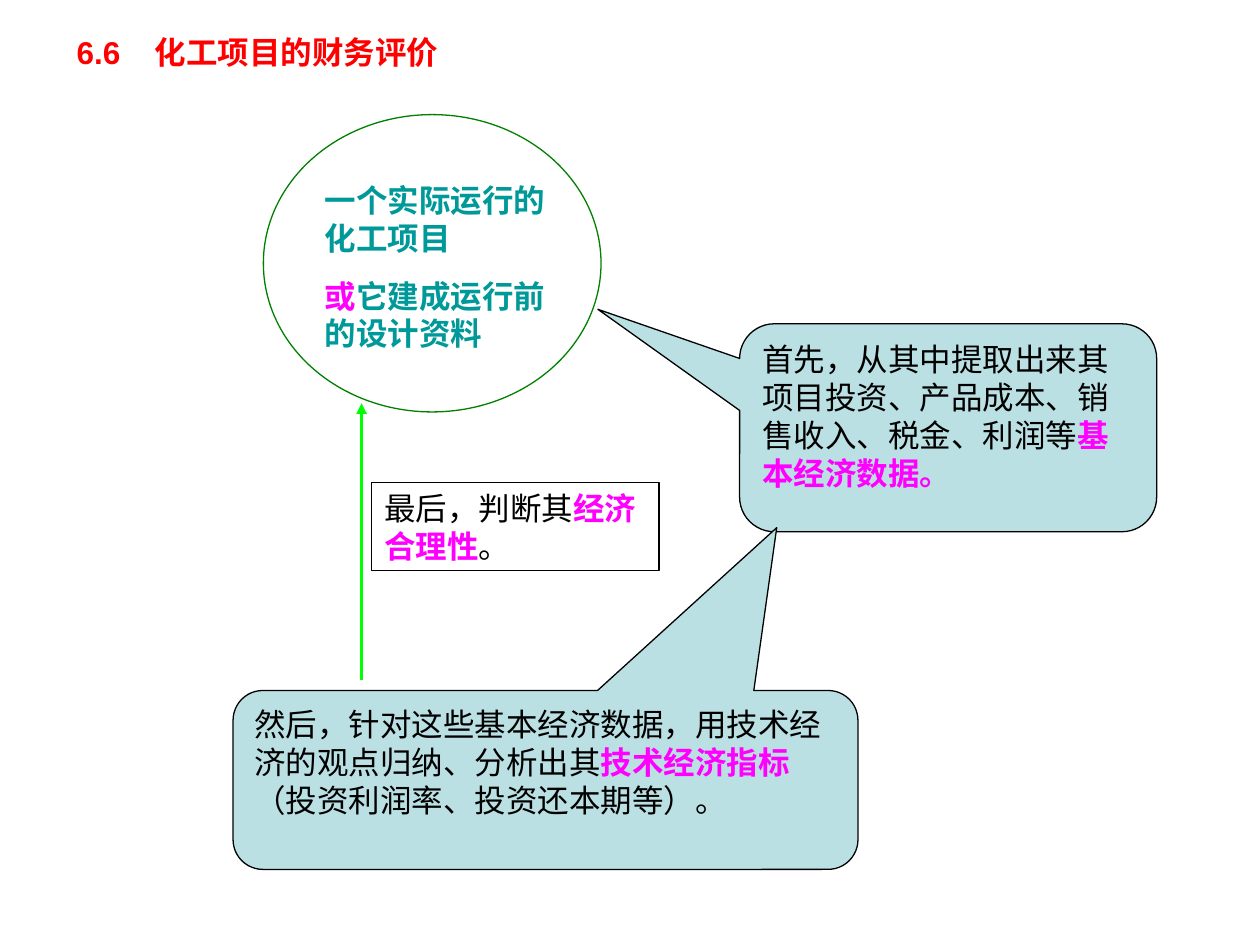
from lxml.etree import SubElement
from pptx import Presentation
from pptx.dml.color import RGBColor
from pptx.enum.shapes import MSO_CONNECTOR as LINK, MSO_SHAPE as SHAPE
from pptx.enum.text import MSO_ANCHOR as ANCHOR, PP_ALIGN as ALIGN
from pptx.oxml.ns import qn
from pptx.util import Inches, Pt

RED = RGBColor(0xFF, 0, 0)
GREEN = RGBColor(0, 0x80, 0)
LIME = RGBColor(0, 0xFF, 0)
TEAL = RGBColor(0, 0x99, 0x99)
PINK = RGBColor(0xFF, 0, 0xFF)
BLACK = RGBColor(0, 0, 0)
PALE = RGBColor(0xBB, 0xE0, 0xE3)


class Page:
    font = "Arial"
    size = Pt(18)
    gap = Pt(11.2)
    thin = Pt(0.75)

    def __init__(self, slide):
        self.slide = slide

    def label(self, shape, paras, tab=None):
        """Fill a shape with paragraphs, each a list of (text, colour, bold)."""
        frame = shape.text_frame
        frame.word_wrap = True
        frame.vertical_anchor = ANCHOR.TOP
        for i, runs in enumerate(paras):
            para = frame.add_paragraph() if i else frame.paragraphs[0]
            para.alignment = ALIGN.LEFT
            if i:
                para.space_before = self.gap
            if tab:
                tabs = SubElement(para._p.get_or_add_pPr(), qn("a:tabLst"))
                SubElement(tabs, qn("a:tab"), pos=str(Inches(tab)), algn="l")
            for text, color, bold in runs:
                run = para.add_run()
                run.text = text
                run.font.name = self.font
                run.font.size = self.size
                run.font.bold = bold
                run.font.color.rgb = color

    def text(self, box, paras, tab=None):
        shape = self.slide.shapes.add_textbox(*map(Inches, box))
        self.label(shape, paras, tab)

    def shape(self, kind, box, line, fill=None, paras=()):
        shape = self.slide.shapes.add_shape(kind, *map(Inches, box))
        shape.shadow.inherit = False
        if fill is None:
            shape.fill.background()
        else:
            shape.fill.solid()
            shape.fill.fore_color.rgb = fill
        shape.line.color.rgb = line
        shape.line.width = self.thin
        self.label(shape, paras)
        return shape

    def callout(self, box, tip, paras):
        """Draw a rounded callout; tip is its offset from the centre, in box sizes."""
        shape = self.shape(SHAPE.ROUNDED_RECTANGULAR_CALLOUT, box, BLACK, PALE, paras)
        for i, value in enumerate(tip):
            shape.adjustments[i] = value

    def arrow(self, start, end, color, width):
        link = self.slide.shapes.add_connector(
            LINK.STRAIGHT, *map(Inches, start + end))
        link.line.color.rgb = color
        link.line.width = Pt(width)
        props = link._element.spPr
        SubElement(props.find(qn("a:ln")), qn("a:tailEnd"), type="triangle")
        SubElement(props, qn("a:effectLst"))


def main():
    deck = Presentation()
    deck.slide_width, deck.slide_height = Inches(10), Inches(7.5)
    page = Page(deck.slides.add_slide(deck.slide_layouts[6]))

    page.text((0.51, 0.21, 4.72, 0.4),
              [[("6.6\t化工项目的财务评价", RED, True)]], tab=0.62)

    page.shape(SHAPE.OVAL, (2.09, 0.91, 2.68, 2.36), GREEN)
    page.text((2.48, 1.39, 1.97, 1.46), [
        [("一个实际运行的化工项目", TEAL, True)],
        [("或", PINK, True), ("它建成运行前的设计资料", TEAL, True)],
    ])

    page.callout((5.87, 2.57, 3.31, 1.65), (-0.84, -0.57), [[
        ("首先，从其中提取出来其项目投资、产品成本、销售收入、税金、利润等", BLACK, False),
        ("基本经济数据。", PINK, True),
    ]])
    page.callout((1.85, 5.48, 4.96, 1.42), (0.37, -1.41), [[
        ("然后，针对这些基本经济数据，用技术经济的观点归纳、分析出其", BLACK, False),
        ("技术经济指标", PINK, True),
        ("（投资利润率、投资还本期等）。", BLACK, False),
    ]])

    page.arrow((2.87, 5.4), (2.87, 3.2), LIME, 2)
    page.shape(SHAPE.RECTANGLE, (2.95, 3.83, 2.28, 0.7), BLACK, paras=[[
        ("最后，判断其", BLACK, False),
        ("经济合理性", PINK, True),
        ("。", BLACK, False),
    ]])

    deck.save("out.pptx")


if __name__ == "__main__":
    main()
